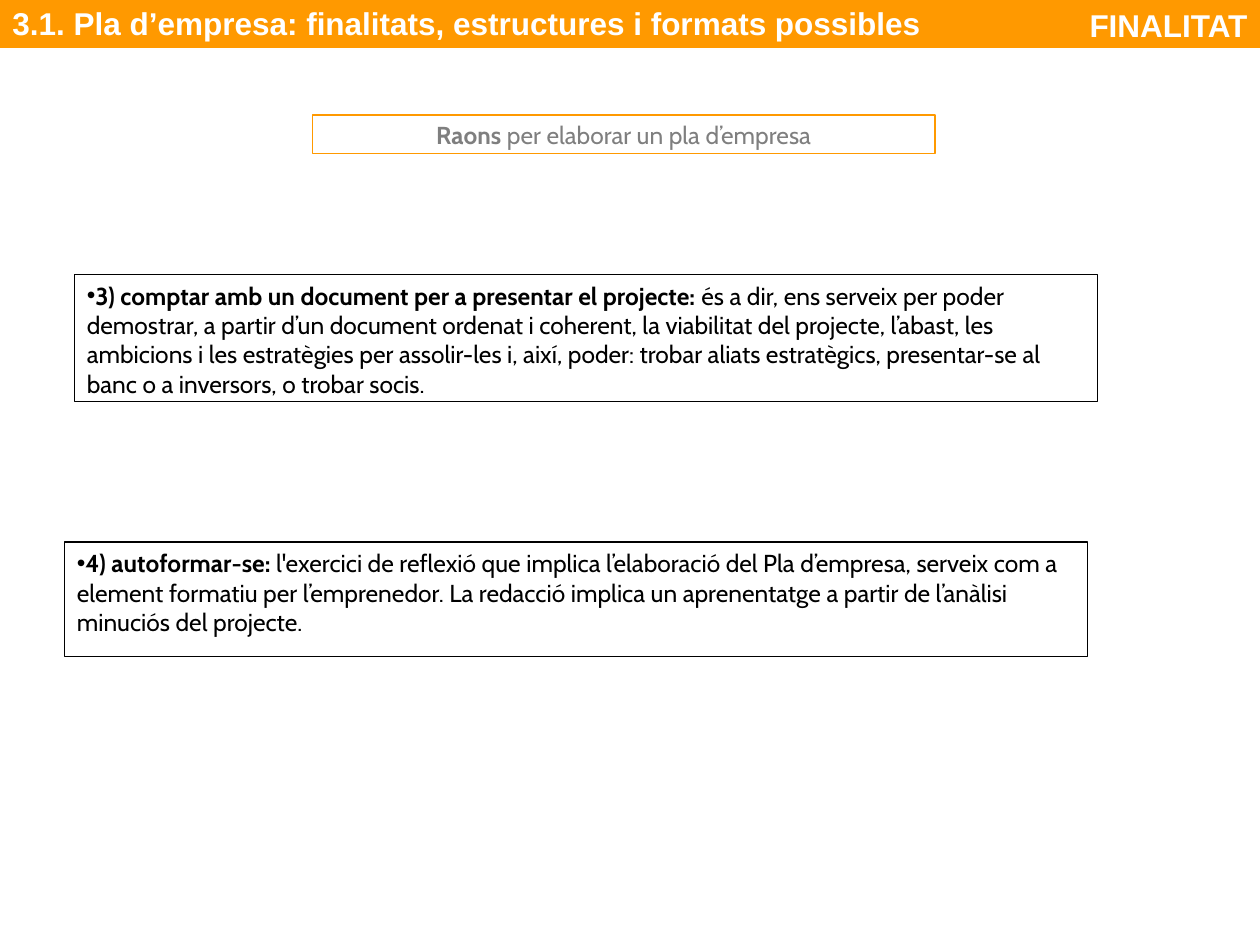
from lxml import etree
from pptx import Presentation
from pptx.dml.color import RGBColor
from pptx.enum.shapes import MSO_SHAPE
from pptx.enum.text import MSO_ANCHOR, PP_ALIGN
from pptx.oxml.ns import qn
from pptx.util import Pt

RECT = MSO_SHAPE.RECTANGLE
TOP, MID = MSO_ANCHOR.TOP, MSO_ANCHOR.MIDDLE
LEFT, MIDDLE, RIGHT = PP_ALIGN.LEFT, PP_ALIGN.CENTER, PP_ALIGN.RIGHT

ORANGE, WHITE, BLACK, GRAY = "FF9900", "FFFFFF", "000000", "7F7F7F"
HEAD = {"name": "Arial", "size": Pt(18), "bold": True}
BODY = {"name": "Cabin", "size": Pt(14)}


def color(value):
    return RGBColor.from_string(value)


def add_bullet(para):
    props = para._p.get_or_add_pPr()
    props.set("marL", "0")
    props.set("indent", str(-Pt(7.2)))
    tint = etree.SubElement(props, qn("a:buClr"))
    etree.SubElement(tint, qn("a:srgbClr")).set("val", BLACK)
    etree.SubElement(props, qn("a:buFont")).set("typeface", "Arial")
    etree.SubElement(props, qn("a:buChar")).set("char", "•")


def add_text(shape, runs, ink, style, align=LEFT, anchor=TOP, bullet=False):
    frame = shape.text_frame
    form = {
        "word_wrap": True, "vertical_anchor": anchor,
        "margin_left": Pt(7.2), "margin_right": Pt(7.2),
        "margin_top": Pt(3.6), "margin_bottom": Pt(3.6),
    }
    for key, value in form.items():
        setattr(frame, key, value)
    para = frame.paragraphs[0]
    para.alignment = align
    if bullet:
        add_bullet(para)
    for words, bold in runs:
        run = para.add_run()
        run.text = words
        for key, value in {**style, "bold": bold}.items():
            setattr(run.font, key, value)
        run.font.color.rgb = color(ink)


def add_box(slide, area, line, fill=None):
    box = slide.shapes.add_shape(RECT, *map(Pt, area))
    box.shadow.inherit = False
    if fill:
        box.fill.solid()
        box.fill.fore_color.rgb = color(fill)
    else:
        box.fill.background()
    box.line.color.rgb = color(line)
    box.line.width = Pt(0.75)
    return box


def add_reason(slide, area, title, detail):
    box = add_box(slide, area, BLACK)
    add_text(box, [(title, True), (detail, False)], BLACK, BODY, bullet=True)


def main():
    deck = Presentation()
    deck.slide_width, deck.slide_height = Pt(720), Pt(540)
    slide = deck.slides.add_slide(deck.slide_layouts[6])

    # Header band and section name
    band = add_box(slide, (0, -0.7, 720, 28), ORANGE, ORANGE)
    title = "3.1. Pla d’empresa: finalitats, estructures i formats possibles"
    add_text(band, [(title, True)], WHITE, HEAD, anchor=MID)
    label = slide.shapes.add_textbox(*map(Pt, (523.4, 0, 196.6, 94.3)))
    add_text(label, [("FINALITAT", True)], WHITE, HEAD, RIGHT)

    # Reasons
    add_reason(
        slide, (42.5, 156.8, 584.6, 72.6),
        "3) comptar amb un document per a presentar el projecte: ",
        "és a dir, ens serveix per poder demostrar, a partir d’un document "
        "ordenat i coherent, la viabilitat del projecte, l’abast, les "
        "ambicions i les estratègies per assolir-les i, així, poder: trobar "
        "aliats estratègics, presentar-se al banc o a inversors, o trobar "
        "socis.")
    add_reason(
        slide, (36.8, 309.7, 584.6, 65.5),
        "4) autoformar-se: ",
        "l'exercici de reflexió que implica l’elaboració del Pla d’empresa, "
        "serveix com a element formatiu per l’emprenedor. La redacció implica "
        "un aprenentatge a partir de l’anàlisi minuciós del projecte.")

    # Topic
    topic = add_box(slide, (178.6, 65.8, 355.7, 21.8), ORANGE)
    runs = [("Raons", True), (" per elaborar un pla d’empresa", False)]
    add_text(topic, runs, GRAY, BODY, MIDDLE, MID)

    deck.save("out.pptx")


if __name__ == "__main__":
    main()
